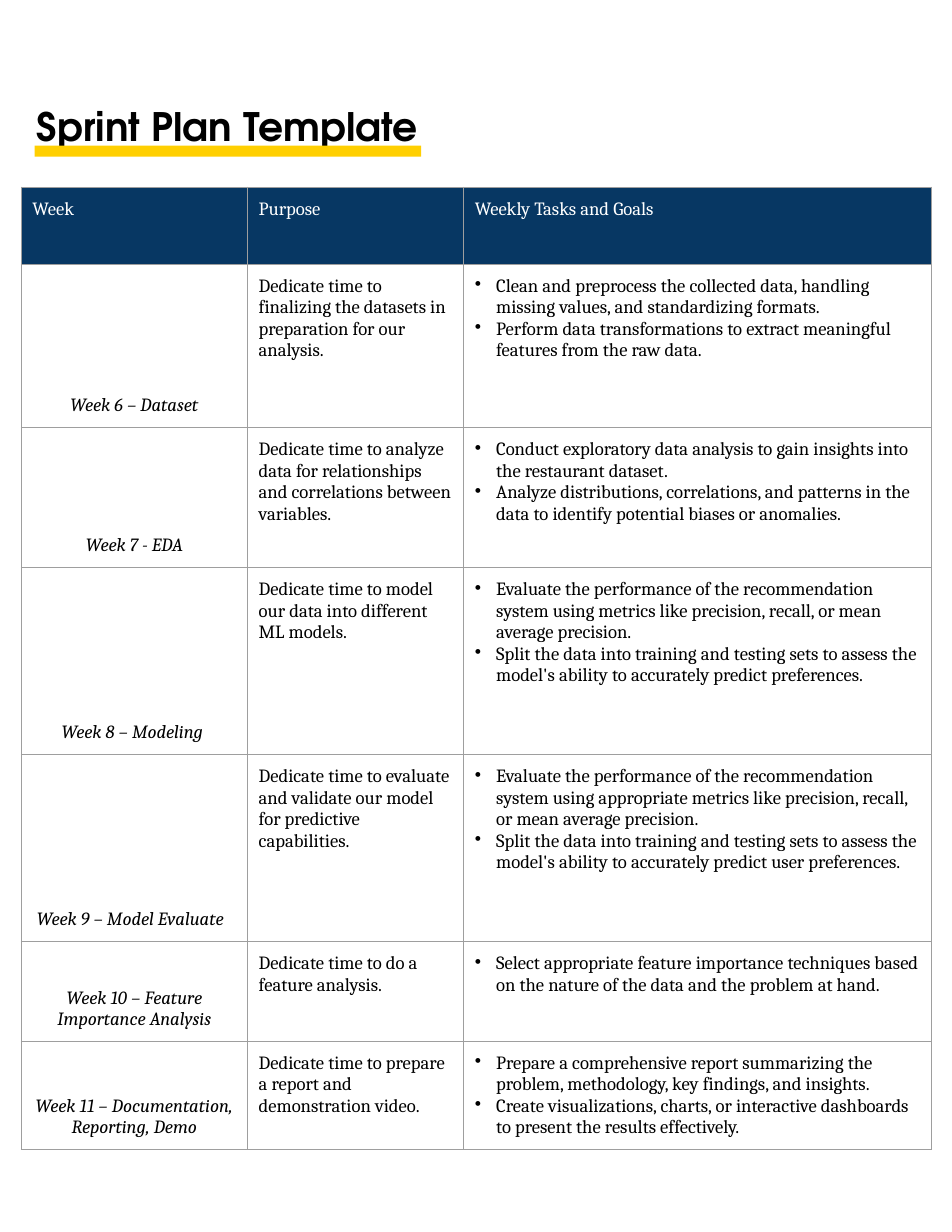
from lxml import etree
from pptx import Presentation
from pptx.dml.color import RGBColor
from pptx.enum.shapes import MSO_SHAPE
from pptx.enum.text import MSO_ANCHOR, MSO_AUTO_SIZE, PP_ALIGN
from pptx.oxml.ns import qn
from pptx.util import Inches, Pt

RECT = MSO_SHAPE.RECTANGLE
TOP, BOTTOM = MSO_ANCHOR.TOP, MSO_ANCHOR.BOTTOM
LEFT, CENTER = PP_ALIGN.LEFT, PP_ALIGN.CENTER

NAVY, YELLOW, GRID, BLACK, WHITE = "073763", "FFCF01", "9E9E9E", "000000", "FFFFFF"
TITLE_FONT, BODY_FONT = "TeX Gyre Adventor", "Cambria"
INSET, BULLET_INDENT = Inches(0.1), Inches(0.19)

TITLE = "Sprint Plan Template"
HEADERS = ["Week ", "Purpose ", "Weekly Tasks and Goals"]
COL_WIDTHS = [2.02, 1.93, 4.18]
HEADER_HEIGHT = 0.69
# row height, week, purpose, tasks
WEEKS = [
    (1.46, "Week 6 – Dataset",
     "Dedicate time to finalizing the datasets in preparation for our analysis.",
     ["Clean and preprocess the collected data, handling missing values, and standardizing formats.",
      "Perform data transformations to extract meaningful features from the raw data. "]),
    (1.25, "Week 7 - EDA",
     "Dedicate time to analyze data for relationships and correlations between variables. ",
     ["Conduct exploratory data analysis to gain insights into the restaurant dataset.",
      "Analyze distributions, correlations, and patterns in the data to identify potential "
      "biases or anomalies."]),
    (1.67, "Week 8 – Modeling ",
     "Dedicate time to model our data into different ML models. ",
     ["Evaluate the performance of the recommendation system using metrics like precision, "
      "recall, or mean average precision.",
      "Split the data into training and testing sets to assess the model's ability to "
      "accurately predict preferences. "]),
    (1.67, "Week 9 – Model Evaluate  ",
     "Dedicate time to evaluate and validate our model for predictive capabilities. ",
     ["Evaluate the performance of the recommendation system using appropriate metrics like "
      "precision, recall, or mean average precision.",
      "Split the data into training and testing sets to assess the model's ability to "
      "accurately predict user preferences."]),
    (0.89, "Week 10 – Feature Importance Analysis",
     "Dedicate time to do a feature analysis.",
     ["Select appropriate feature importance techniques based on the nature of the data and "
      "the problem at hand. "]),
    (0.89, "Week 11 – Documentation, Reporting, Demo",
     "Dedicate time to prepare a report and demonstration video. ",
     ["Prepare a comprehensive report summarizing the problem, methodology, key findings, "
      "and insights.",
      "Create visualizations, charts, or interactive dashboards to present the results "
      "effectively."]),
]


def rgb(color):
    """Turn a hex string into a colour."""
    return RGBColor.from_string(color)


def style(p, font, size, color, bold=False, italic=False):
    """Format every run of a paragraph."""
    for r in p.runs:
        r.font.name, r.font.size = font, Pt(size)
        r.font.bold, r.font.italic = bold, italic
        r.font.color.rgb = rgb(color)


def add_color(parent, tag, color):
    """Append an element that holds a hex colour."""
    holder = etree.SubElement(parent, qn(tag))
    etree.SubElement(holder, qn("a:srgbClr")).set("val", color)


def add_bullet(p):
    """Give a paragraph a hanging round bullet."""
    pPr = p._p.get_or_add_pPr()
    pPr.set("marL", str(BULLET_INDENT))
    pPr.set("indent", str(-BULLET_INDENT))
    add_color(pPr, "a:buClr", BLACK)
    etree.SubElement(pPr, qn("a:buChar")).set("char", "•")


def add_borders(cell):
    """Draw the grid line on all four sides of a cell."""
    tcPr = cell._tc.get_or_add_tcPr()
    for i, side in enumerate(("a:lnL", "a:lnR", "a:lnT", "a:lnB")):
        ln = etree.Element(qn(side), w=str(Pt(0.75)))
        add_color(ln, "a:solidFill", GRID)
        tcPr.insert(i, ln)


def fill_cell(cell, lines, color=BLACK, fill=None, anchor=TOP, align=LEFT,
              italic=False, bullets=False):
    """Write and format one table cell."""
    cell.margin_left = cell.margin_right = cell.margin_top = cell.margin_bottom = INSET
    cell.vertical_anchor = anchor
    cell.text_frame.text = "\n".join(lines)
    for p in cell.text_frame.paragraphs:
        p.alignment = align
        style(p, BODY_FONT, 12, color, italic=italic)
        if bullets:
            add_bullet(p)
    if fill:
        cell.fill.solid()
        cell.fill.fore_color.rgb = rgb(fill)
    else:
        cell.fill.background()
    add_borders(cell)


def add_title(s):
    """Place and format the title placeholder."""
    sp = s.shapes.title
    sp.left, sp.top, sp.width, sp.height = map(Inches, (0.23, 0.81, 4.02, 0.62))
    tf = sp.text_frame
    tf.text = TITLE
    tf.word_wrap, tf.auto_size, tf.vertical_anchor = True, MSO_AUTO_SIZE.NONE, TOP
    tf.margin_left = tf.margin_right = tf.margin_top = tf.margin_bottom = INSET
    tf.paragraphs[0].alignment = LEFT
    style(tf.paragraphs[0], TITLE_FONT, 25.2, BLACK, bold=True)


def add_plan(s):
    """Add the table of weeks."""
    heights = [HEADER_HEIGHT] + [week[0] for week in WEEKS]
    table = s.shapes.add_table(len(heights), len(COL_WIDTHS), Inches(0.19), Inches(1.67),
                               Inches(sum(COL_WIDTHS)), Inches(sum(heights))).table
    table.horz_banding = False
    for column, width in zip(table.columns, COL_WIDTHS):
        column.width = Inches(width)
    for row, height in zip(table.rows, heights):
        row.height = Inches(height)
    for col, header in enumerate(HEADERS):
        fill_cell(table.cell(0, col), [header], color=WHITE, fill=NAVY)
    for row, (_, week, purpose, tasks) in enumerate(WEEKS, 1):
        fill_cell(table.cell(row, 0), [week], anchor=BOTTOM, align=CENTER, italic=True)
        fill_cell(table.cell(row, 1), [purpose])
        fill_cell(table.cell(row, 2), tasks, bullets=True)


def add_underline(s):
    """Add the bar below the title."""
    bar = s.shapes.add_shape(RECT, *map(Inches, (0.31, 1.3, 3.45, 0.1)))
    bar.shadow.inherit = False
    bar.fill.solid()
    bar.fill.fore_color.rgb = rgb(YELLOW)
    bar.line.fill.background()


prs = Presentation()
prs.slide_width, prs.slide_height = Inches(8.5), Inches(11)
s = prs.slides.add_slide(prs.slide_layouts[5])
add_title(s)
add_plan(s)
add_underline(s)
prs.save("out.pptx")
